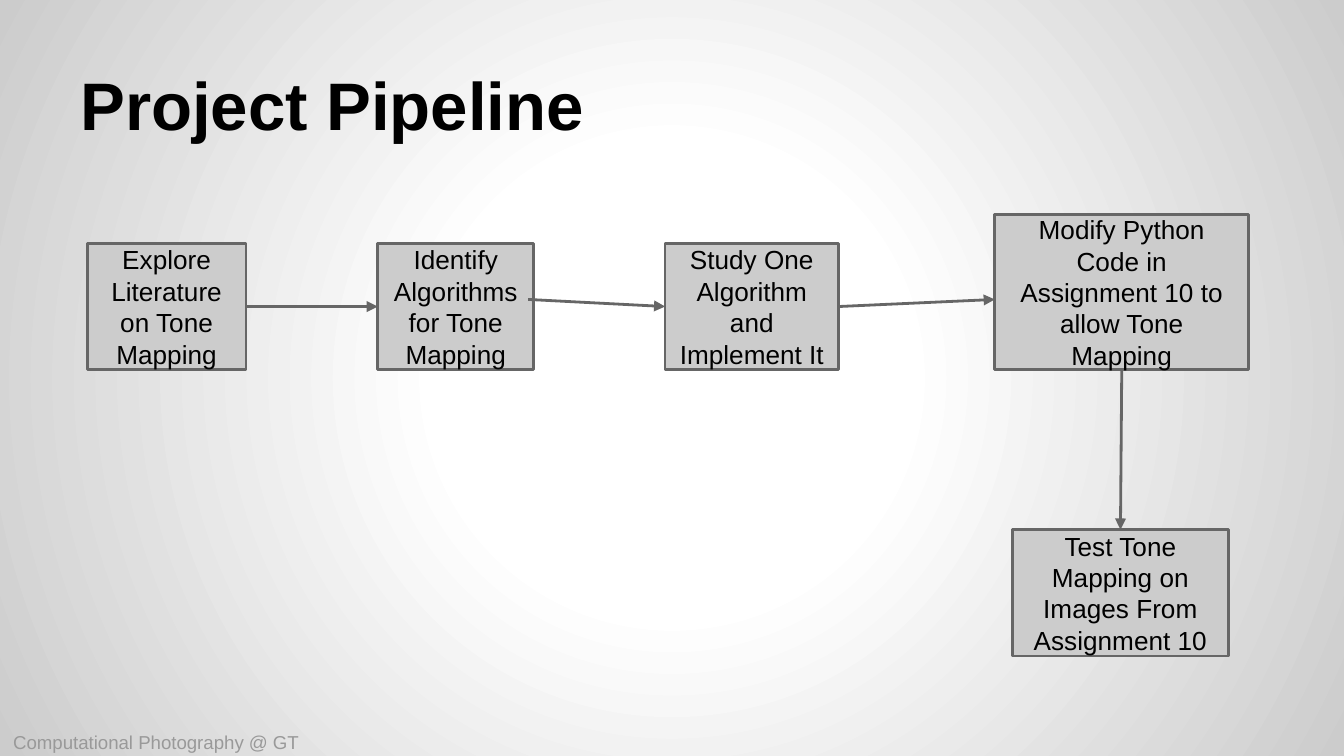
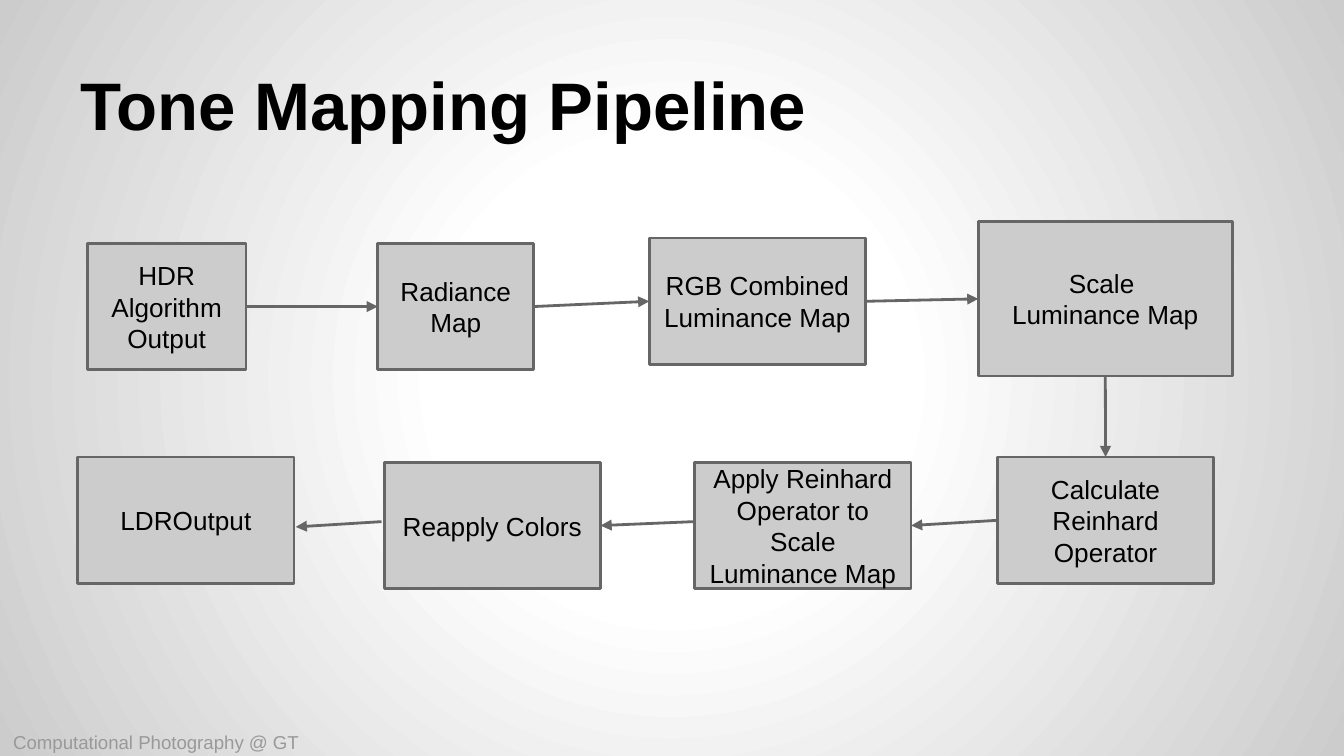
from dataclasses import dataclass

from lxml import etree
from pptx import Presentation
from pptx.dml.color import RGBColor
from pptx.enum.shapes import MSO_CONNECTOR, MSO_SHAPE
from pptx.enum.text import MSO_ANCHOR, PP_ALIGN
from pptx.oxml import parse_xml
from pptx.oxml.ns import nsdecls, qn
from pptx.util import Cm, Pt

RECTANGLE = MSO_SHAPE.RECTANGLE
STRAIGHT = MSO_CONNECTOR.STRAIGHT
MIDDLE, BOTTOM = MSO_ANCHOR.MIDDLE, MSO_ANCHOR.BOTTOM
LEFT, CENTER = PP_ALIGN.LEFT, PP_ALIGN.CENTER
LEFT_SIDE, BOTTOM_SIDE, RIGHT_SIDE, TOP_SIDE = 1, 2, 3, 0

FONT = "Arial"
BLACK, WHITE = "000000", "FFFFFF"
PANEL, OUTLINE, MUTED = "CCCCCC", "666666", "999999"
LINE_WIDTH = Pt(1.5)
INSET = Cm(0.25)

SLIDE_SIZE = (25.4, 14.29)
TITLE_BOX = (1.27, 0.58, 22.86, 2.39)
FOOTER_BOX = (0, 13.74, 7.14, 0.56)
PIPELINE_ORIGIN = (1.27, 4.06)
FOOTER = "Computational Photography @ GT"
STEP_HEIGHT, WIDE_STEP = 2.39, 4.09
LARGE_STEP = (4.8, 2.92)


@dataclass
class Step:
    """A pipeline step, placed relative to the pipeline's origin."""
    text: str
    left: float
    top: float
    width: float = WIDE_STEP
    height: float = STEP_HEIGHT


@dataclass
class Link:
    """An arrow to the next step; a given point replaces a glued end."""
    leave: int = RIGHT_SIDE
    enter: int = LEFT_SIDE
    start: tuple | None = None
    end: tuple | None = None


PROJECT_STEPS = [
    Step("Explore Literature on Tone\nMapping", 0.38, 0.54, 3),
    Step("Identify Algorithms for Tone\nMapping", 5.87, 0.54, 2.95),
    Step("Study One Algorithm and Implement It", 11.3, 0.54, 3.28),
    Step("Modify Python Code in Assignment 10 to allow Tone Mapping",
         17.53, 0, *LARGE_STEP),
    Step("Test Tone Mapping on Images From Assignment 10", 17.86, 5.95),
]
PROJECT_LINKS = [
    Link(),
    Link(start=(8.71, 1.6)),
    Link(end=(17.53, 1.6)),
    Link(BOTTOM_SIDE, TOP_SIDE),
]
TONE_STEPS = [
    Step("HDR Algorithm Output", 0.38, 0.54, 3),
    Step("Radiance Map", 5.87, 0.54, 2.95),
    Step("RGB Combined Luminance Map", 11, 0.44),
    Step("Scale \nLuminance Map", 17.22, 0.13, *LARGE_STEP),
    Step("Calculate Reinhard Operator", 17.58, 4.58),
    Step("Apply Reinhard Operator to Scale Luminance Map", 11.86, 4.68),
    Step("Reapply Colors", 5.99, 4.68),
    Step("LDROutput", 0.2, 4.58),
]
TONE_LINKS = [
    Link(),
    Link(),
    Link(),
    Link(BOTTOM_SIDE, TOP_SIDE),
    Link(LEFT_SIDE, RIGHT_SIDE),
    Link(LEFT_SIDE, RIGHT_SIDE, start=(11.84, 5.8)),
    Link(LEFT_SIDE, RIGHT_SIDE, start=(5.94, 5.8), end=(4.32, 5.9)),
]
PIPELINES = [
    ("Project Pipeline", PROJECT_STEPS, PROJECT_LINKS),
    ("Tone Mapping Pipeline", TONE_STEPS, TONE_LINKS),
]


def color(hex_code):
    """Turn a hex string into a colour."""
    return RGBColor.from_string(hex_code)


def write(shape, text, size, hex_code, anchor, align=LEFT, bold=False):
    """Set and format the text of a shape."""
    frame = shape.text_frame
    frame.text = text
    frame.word_wrap = True
    frame.vertical_anchor = anchor
    frame.margin_left = frame.margin_right = INSET
    frame.margin_top = frame.margin_bottom = INSET
    for paragraph in frame.paragraphs:
        paragraph.alignment = align
        for run in paragraph.runs:
            run.font.name = FONT
            run.font.size = Pt(size)
            run.font.bold = bold
            run.font.color.rgb = color(hex_code)


def set_background(master):
    """Give the master a radial gradient from white to grey."""
    stops = "".join(
        f'<a:gs pos="{percent * 1000}"><a:srgbClr val="{hex_code}"/></a:gs>'
        for percent, hex_code in ((0, WHITE), (30, WHITE), (100, PANEL)))
    background = parse_xml(
        f'<p:bg {nsdecls("p", "a")}><p:bgPr><a:gradFill><a:gsLst>{stops}</a:gsLst>'
        '<a:path path="circle"><a:fillToRect l="50000" t="50000" r="50000" b="50000"/>'
        '</a:path></a:gradFill><a:effectLst/></p:bgPr></p:bg>')
    content = master.element.find(qn("p:cSld"))
    for previous in content.findall(qn("p:bg")):
        content.remove(previous)
    content.insert(0, background)


def add_label(slide, box, text, size, hex_code, anchor, bold=False):
    """Add a text box in the given box."""
    label = slide.shapes.add_textbox(*map(Cm, box))
    write(label, text, size, hex_code, anchor, bold=bold)


def add_step(slide, origin, step):
    """Add one step of a pipeline."""
    left, top = origin
    panel = slide.shapes.add_shape(
        RECTANGLE, Cm(left + step.left), Cm(top + step.top),
        Cm(step.width), Cm(step.height))
    panel.shadow.inherit = False
    panel.fill.solid()
    panel.fill.fore_color.rgb = color(PANEL)
    panel.line.color.rgb = color(OUTLINE)
    panel.line.width = LINE_WIDTH
    write(panel, step.text, 14, BLACK, MIDDLE, CENTER)
    return panel


def add_arrow(slide, origin, source, target, link):
    """Draw an arrow between two steps."""
    left, top = origin
    ends = [Cm(base + shift) for point in (link.start, link.end)
            for base, shift in zip((left, top), point or (0, 0))]
    arrow = slide.shapes.add_connector(STRAIGHT, *ends)
    if link.start is None:
        arrow.begin_connect(source, link.leave)
    if link.end is None:
        arrow.end_connect(target, link.enter)
    arrow.line.color.rgb = color(OUTLINE)
    arrow.line.width = LINE_WIDTH
    etree.SubElement(arrow.line._get_or_add_ln(), qn("a:tailEnd"), type="triangle")
    etree.SubElement(arrow._element.spPr, qn("a:effectLst"))


def add_pipeline(slide, origin, steps, links):
    """Add the steps and the arrows that join them in order."""
    panels = [add_step(slide, origin, step) for step in steps]
    for source, target, link in zip(panels, panels[1:], links):
        add_arrow(slide, origin, source, target, link)


def add_pipeline_slide(deck, title, steps, links):
    """Add a slide with title, footer and pipeline."""
    slide = deck.slides.add_slide(deck.slide_layouts[6])
    add_label(slide, TITLE_BOX, title, 36, BLACK, BOTTOM, bold=True)
    add_label(slide, FOOTER_BOX, FOOTER, 10, MUTED, MIDDLE)
    add_pipeline(slide, PIPELINE_ORIGIN, steps, links)


def main():
    """Build and save the deck."""
    deck = Presentation()
    deck.slide_width, deck.slide_height = map(Cm, SLIDE_SIZE)
    set_background(deck.slide_master)
    for title, steps, links in PIPELINES:
        add_pipeline_slide(deck, title, steps, links)
    deck.save("out.pptx")


if __name__ == "__main__":
    main()
